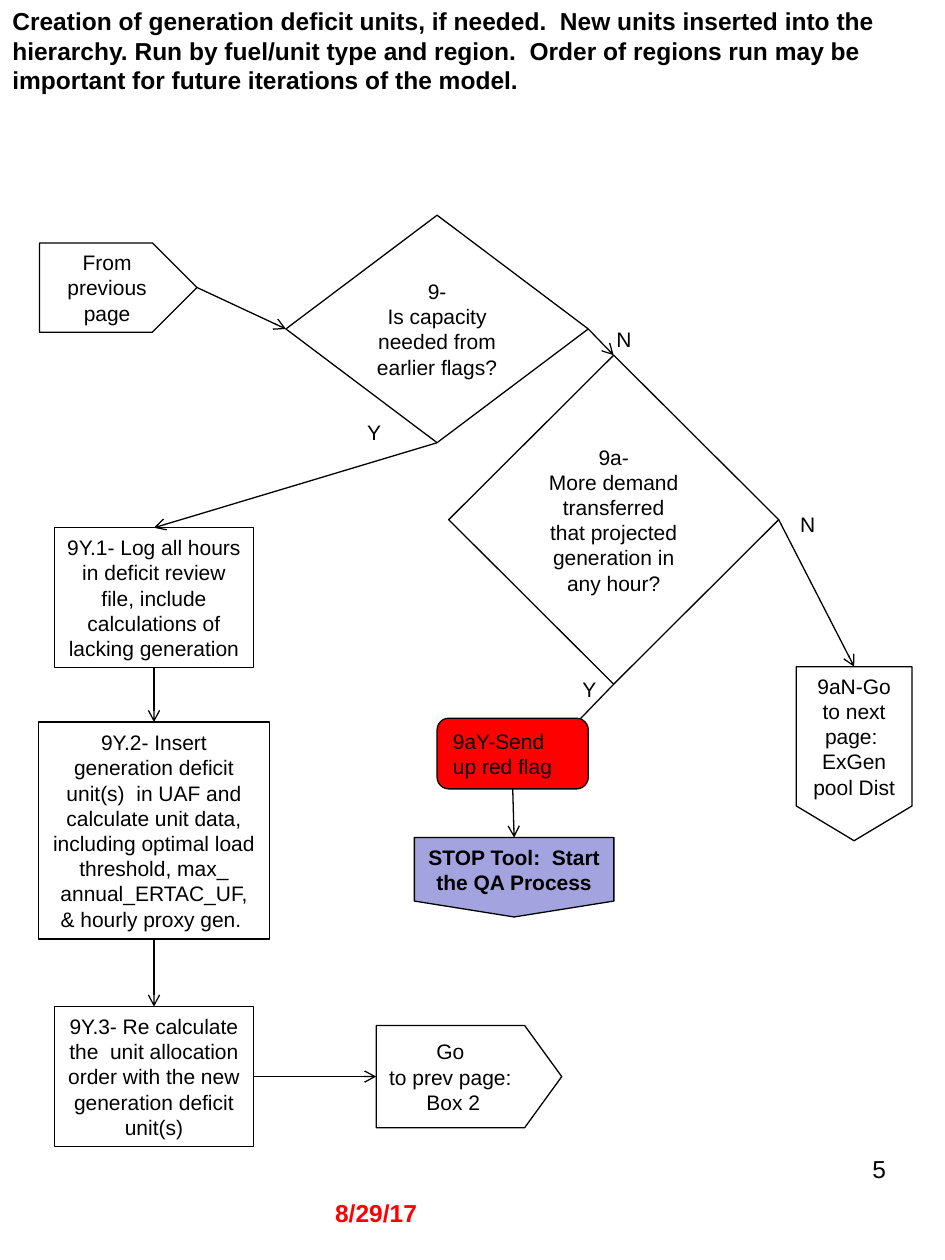
from pptx import Presentation
from pptx.dml.color import RGBColor
from pptx.enum.shapes import MSO_CONNECTOR as Connector, MSO_SHAPE as Shape
from pptx.enum.text import MSO_ANCHOR as Anchor, PP_ALIGN as Align
from pptx.oxml.ns import qn
from pptx.util import Pt
from lxml.etree import SubElement

TOP, LEFT, BOTTOM, RIGHT = range(4)
BLACK, RED, LAVENDER = "000000", "FF0000", "A3A3E0"


def color(hex_value):
    """Turn a hex string into a colour."""
    return RGBColor.from_string(hex_value)


def write(shape, text, size=12, bold=False, font_color=BLACK, align=Align.CENTER):
    """Fill a shape with wrapped text, one paragraph a line."""
    frame = shape.text_frame
    frame.text = text
    frame.word_wrap = True
    for paragraph in frame.paragraphs:
        paragraph.alignment = align
        for run in paragraph.runs:
            run.font.name = "Arial"
            run.font.size = Pt(size)
            run.font.bold = bold
            run.font.color.rgb = color(font_color)


def add_label(slide, text, box, **style):
    """Add a plain text box."""
    label = slide.shapes.add_textbox(*map(Pt, box))
    write(label, text, **style)
    return label


def add_node(slide, kind, text, box, fill=None, **style):
    """Add an outlined flowchart node."""
    node = slide.shapes.add_shape(kind, *map(Pt, box))
    node.shadow.inherit = False
    if fill:
        node.fill.solid()
        node.fill.fore_color.rgb = color(fill)
    else:
        node.fill.background()
    node.line.color.rgb = color(BLACK)
    node.line.width = Pt(0.75)
    node.text_frame.vertical_anchor = Anchor.MIDDLE
    write(node, text, **style)
    return node


def add_arrow(slide, start, start_side, end, end_side):
    """Join two nodes with an arrow that lies behind them."""
    arrow = slide.shapes.add_connector(Connector.STRAIGHT, 0, 0, 0, 0)
    arrow.begin_connect(start, start_side)
    arrow.end_connect(end, end_side)
    arrow.line.color.rgb = color(BLACK)
    arrow.line.width = Pt(0.75)
    SubElement(arrow.line._get_or_add_ln(), qn("a:tailEnd"), type="arrow")
    SubElement(arrow._element.spPr, qn("a:effectLst"))
    slide.shapes._spTree.insert(2, arrow._element)
    return arrow


def add_entry(slide, box):
    """Place the incoming page marker and the first decision."""
    left, top, width, height = box
    source = add_node(slide, Shape.PENTAGON, "From previous page",
                      (left, top + 15.8, 90, 51))
    decision = add_node(slide, Shape.FLOWCHART_DECISION,
                        "9-\nIs capacity needed from earlier flags?",
                        (left + width - 172.8, top, 172.8, height))
    add_arrow(slide, source, RIGHT, decision, LEFT)
    add_label(slide, "Y", (left + 176.2, top + 113, 30, 21.6))
    add_label(slide, "N", (left + 313, top + 59.8, 42, 21.6))
    return decision


def add_yes_branch(slide, box, decision):
    """Place the column of steps and the way back to the previous page."""
    left, top, width, height = box
    center = left + 66
    steps = [
        (Shape.FLOWCHART_PROCESS, 114, 0, 80,
         "9Y.1- Log all hours in deficit review file, include "
         "calculations of lacking generation"),
        (Shape.RECTANGLE, 132, 111, 124,
         "9Y.2- Insert generation deficit unit(s)  in UAF and calculate unit "
         "data, including optimal load threshold, max_ annual_ERTAC_UF, "
         "& hourly proxy gen. "),
        (Shape.RECTANGLE, 114, height - 80, 80,
         "9Y.3- Re calculate the  unit allocation order with the new "
         "generation deficit unit(s)"),
    ]
    previous = decision
    for kind, step_width, offset, step_height, text in steps:
        step = add_node(slide, kind, text, (center - step_width / 2, top + offset,
                                            step_width, step_height))
        add_arrow(slide, previous, BOTTOM, step, TOP)
        previous = step

    middle = top + height - 40
    page_width, page_height = 58.4, 106
    page = add_node(slide, Shape.FLOWCHART_OFFPAGE_CONNECTOR,
                    "Go\nto prev page:  Box 2",
                    (left + width - (page_width + page_height) / 2,
                     middle - page_height / 2, page_width, page_height))
    page.rotation = 270
    page.text_frame._txBody.bodyPr.set("vert", "vert")
    arrow = add_arrow(slide, previous, RIGHT, page, TOP)
    arrow.end_x, arrow.end_y = Pt(left + width - page_height), Pt(middle)


def add_no_branch(slide, box, decision):
    """Place the second decision with its red flag, stop and next page."""
    left, top, width, height = box
    demand = add_node(slide, Shape.FLOWCHART_DECISION,
                      "9a-\nMore demand transferred that projected "
                      "generation in any hour?", (left, top, 188.6, 188))
    flag = add_node(slide, Shape.FLOWCHART_ALTERNATE_PROCESS, "9aY-Send up red flag",
                    (left - 6.6, top + 207.4, 86.4, 40.4), RED, align=Align.LEFT)
    stop = add_node(slide, Shape.FLOWCHART_OFFPAGE_CONNECTOR,
                    "STOP Tool:  Start the QA Process",
                    (left - 19.6, top + height - 45.4, 114, 45.4), LAVENDER, bold=True)
    page = add_node(slide, Shape.FLOWCHART_OFFPAGE_CONNECTOR,
                    "9aN-Go\nto next page:  ExGen pool Dist",
                    (left + width - 66.2, top + 178, 66.2, 99.4))
    add_arrow(slide, decision, RIGHT, demand, TOP)
    add_arrow(slide, demand, BOTTOM, flag, BOTTOM)
    add_arrow(slide, flag, BOTTOM, stop, TOP)
    add_arrow(slide, demand, RIGHT, page, TOP)
    add_label(slide, "Y", (left + 65.4, top + 180, 30, 21.6))
    add_label(slide, "N", (left + 184.2, top + 85.8, 42, 21.6))


def add_footer(slide, box):
    """Place the date and the page number."""
    left, top, width, height = box
    add_label(slide, "8/29/17", (left, top + height - 24.6, 171.4, 24.6),
              size=14, bold=True, font_color=RED, align=Align.LEFT)
    add_label(slide, "5", (left + width - 126, top, 126, height),
              size=14, align=Align.RIGHT)


def build():
    """Build and save the flowchart slide."""
    presentation = Presentation()
    presentation.slide_width, presentation.slide_height = Pt(540), Pt(720)
    slide = presentation.slides.add_slide(presentation.slide_layouts[6])
    add_label(slide, "Creation of generation deficit units, if needed.  New units "
              "inserted into the hierarchy. Run by fuel/unit type and region.  Order "
              "of regions run may be important for future iterations of the model.",
              (0, 0, 540, 58.4), size=14, bold=True, align=Align.LEFT)
    decision = add_entry(slide, (22.6, 123, 313.6, 130))
    add_yes_branch(slide, (22, 301.6, 299, 353.6), decision)
    add_no_branch(slide, (256.4, 203, 264.8, 321), decision)
    add_footer(slide, (184.4, 656, 329, 49.6))
    presentation.save("out.pptx")


build()
